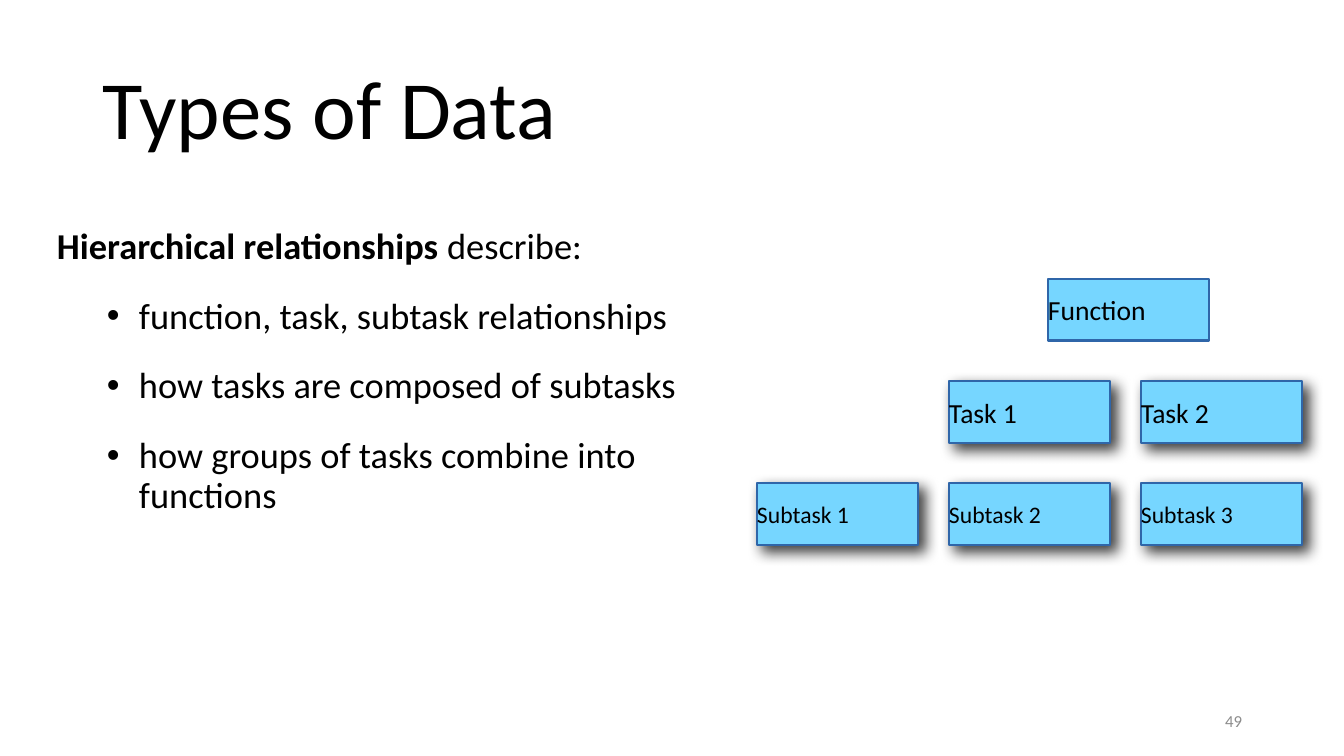
import pptx
import pptx.util
import pptx.dml.color
import pptx.enum.shapes
import pptx.enum.text
import pptx.oxml
import pptx.oxml.ns
from dataclasses import dataclass

TITLE = "Types of Data"
LEAD = [("Hierarchical relationships ", True), ("describe:", False)]
POINTS = [
    "function, task, subtask relationships",
    "how tasks are composed of subtasks",
    "how groups of tasks combine into functions",
]
PAGE_NUMBER = "49"
# left edge of the level, type size, has shadow, labels
LEVELS = [
    (1048, 19.7, False, ["Function"]),
    (949, 19.7, True, ["Task 1", "Task 2"]),
    (757, 16.9, True, ["Subtask 1", "Subtask 2", "Subtask 3"]),
]


@dataclass(frozen=True)
class Theme:
    font: str = "Calibri"
    text: str = "000000"
    muted: str = "8C8C8C"
    box_fill: str = "76D6FF"
    box_line: str = "2F66A9"
    shadow: str = "000000"
    title_size: float = 59.1
    body_size: float = 26
    number_size: float = 12
    body_gap: float = 21.8
    line_spacing: float = 0.9
    box_line_width: float = 2


THEME = Theme()
EMU_PER_PX = 914400 / 100.8
SLIDE_W, SLIDE_H = 1344, 756
BOX_W, BOX_H = 161, 62
LEVELS_TOP, LEVEL_PITCH, COLUMN_PITCH = 279, 102, 192
BULLET_LEFT, BULLET_HANG = 82, 32

ANCHOR = pptx.enum.text.MSO_ANCHOR
ALIGN = pptx.enum.text.PP_ALIGN


def px(length):
    return pptx.util.Emu(round(length * EMU_PER_PX))


def rgb(value):
    return pptx.dml.color.RGBColor.from_string(value)


def set_frame(frame, anchor, inset=True):
    frame.word_wrap = True
    frame.vertical_anchor = anchor
    if not inset:
        frame.margin_left = frame.margin_right = 0
        frame.margin_top = frame.margin_bottom = 0


def add_run(paragraph, text, size, color=THEME.text, bold=False):
    run = paragraph.add_run()
    run.text = text
    run.font.name = THEME.font
    run.font.size = pptx.util.Pt(size)
    run.font.bold = bold
    run.font.color.rgb = rgb(color)


def add_text_box(slide, left, top, width, height, anchor, inset=True):
    box = slide.shapes.add_textbox(px(left), px(top), px(width), px(height))
    set_frame(box.text_frame, anchor, inset)
    return box.text_frame


def add_bullet(paragraph):
    properties = paragraph._p.get_or_add_pPr()
    properties.set("marL", str(px(BULLET_LEFT)))
    properties.set("indent", str(-px(BULLET_HANG)))
    properties.append(pptx.oxml.parse_xml(
        f'<a:buFont {pptx.oxml.ns.nsdecls("a")} typeface="Arial"/>'))
    properties.append(pptx.oxml.parse_xml(
        f'<a:buChar {pptx.oxml.ns.nsdecls("a")} char="•"/>'))


def add_shadow(shape):
    effects = shape._element.spPr.find(pptx.oxml.ns.qn("a:effectLst"))
    blur, distance = pptx.util.Pt(10), pptx.util.Pt(6)
    effects.append(pptx.oxml.parse_xml(
        f'<a:outerShdw {pptx.oxml.ns.nsdecls("a")} blurRad="{blur}" '
        f'dist="{distance}" dir="{45 * 60000}" rotWithShape="0">'
        f'<a:srgbClr val="{THEME.shadow}"><a:alpha val="75000"/></a:srgbClr>'
        f'</a:outerShdw>'))


def add_level_box(slide, label, left, top, size, shadowed):
    box = slide.shapes.add_shape(
        pptx.enum.shapes.MSO_SHAPE.RECTANGLE,
        px(left), px(top), px(BOX_W), px(BOX_H))
    box.fill.solid()
    box.fill.fore_color.rgb = rgb(THEME.box_fill)
    box.line.color.rgb = rgb(THEME.box_line)
    box.line.width = pptx.util.Pt(THEME.box_line_width)
    box.shadow.inherit = False
    if shadowed:
        add_shadow(box)
    set_frame(box.text_frame, ANCHOR.MIDDLE, inset=False)
    paragraph = box.text_frame.paragraphs[0]
    paragraph.alignment = ALIGN.LEFT
    add_run(paragraph, label, size)


def add_title(slide):
    title = add_text_box(slide, 93, 40, 1159, 146, ANCHOR.MIDDLE).paragraphs[0]
    title.line_spacing = THEME.line_spacing
    add_run(title, TITLE, THEME.title_size)


def add_body(slide):
    body = add_text_box(slide, 57, 228, 695, 429, ANCHOR.TOP, inset=False)
    lead = body.paragraphs[0]
    lead.line_spacing = THEME.line_spacing
    for text, bold in LEAD:
        add_run(lead, text, THEME.body_size, bold=bold)
    for text in POINTS:
        point = body.add_paragraph()
        add_bullet(point)
        point.line_spacing = THEME.line_spacing
        point.space_before = pptx.util.Pt(THEME.body_gap)
        add_run(point, text, THEME.body_size)


def add_page_number(slide):
    number = add_text_box(slide, 949, 701, 303, 40, ANCHOR.MIDDLE).paragraphs[0]
    number.alignment = ALIGN.RIGHT
    add_run(number, PAGE_NUMBER, THEME.number_size, THEME.muted)


def add_hierarchy(slide):
    for row, (left, size, shadowed, labels) in enumerate(LEVELS):
        top = LEVELS_TOP + row * LEVEL_PITCH
        for column, label in enumerate(labels):
            add_level_box(slide, label, left + column * COLUMN_PITCH, top,
                          size, shadowed)


def main():
    deck = pptx.Presentation()
    deck.slide_width, deck.slide_height = px(SLIDE_W), px(SLIDE_H)
    slide = deck.slides.add_slide(deck.slide_layouts[6])
    add_title(slide)
    add_body(slide)
    add_page_number(slide)
    add_hierarchy(slide)
    deck.save("out.pptx")


if __name__ == "__main__":
    main()
